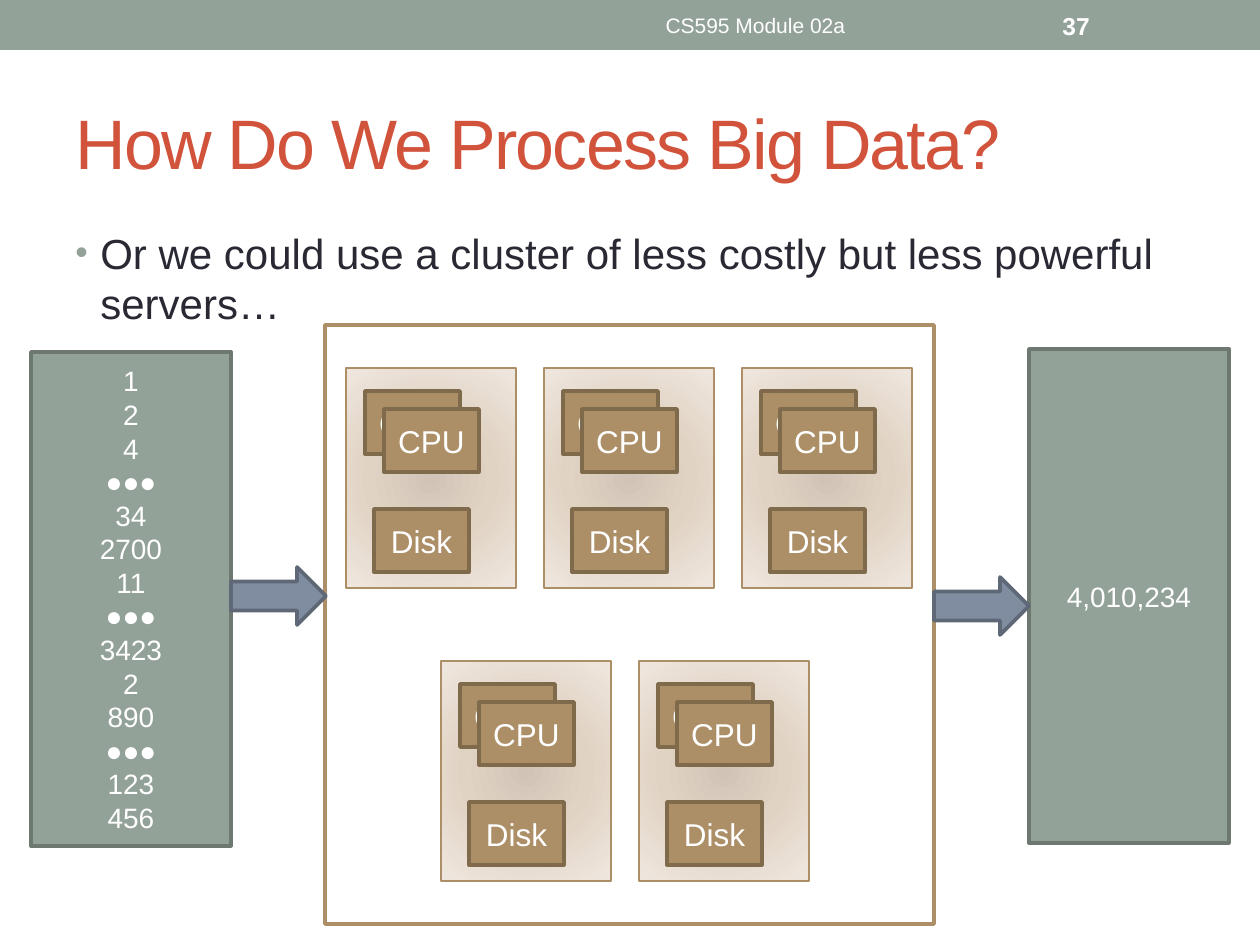
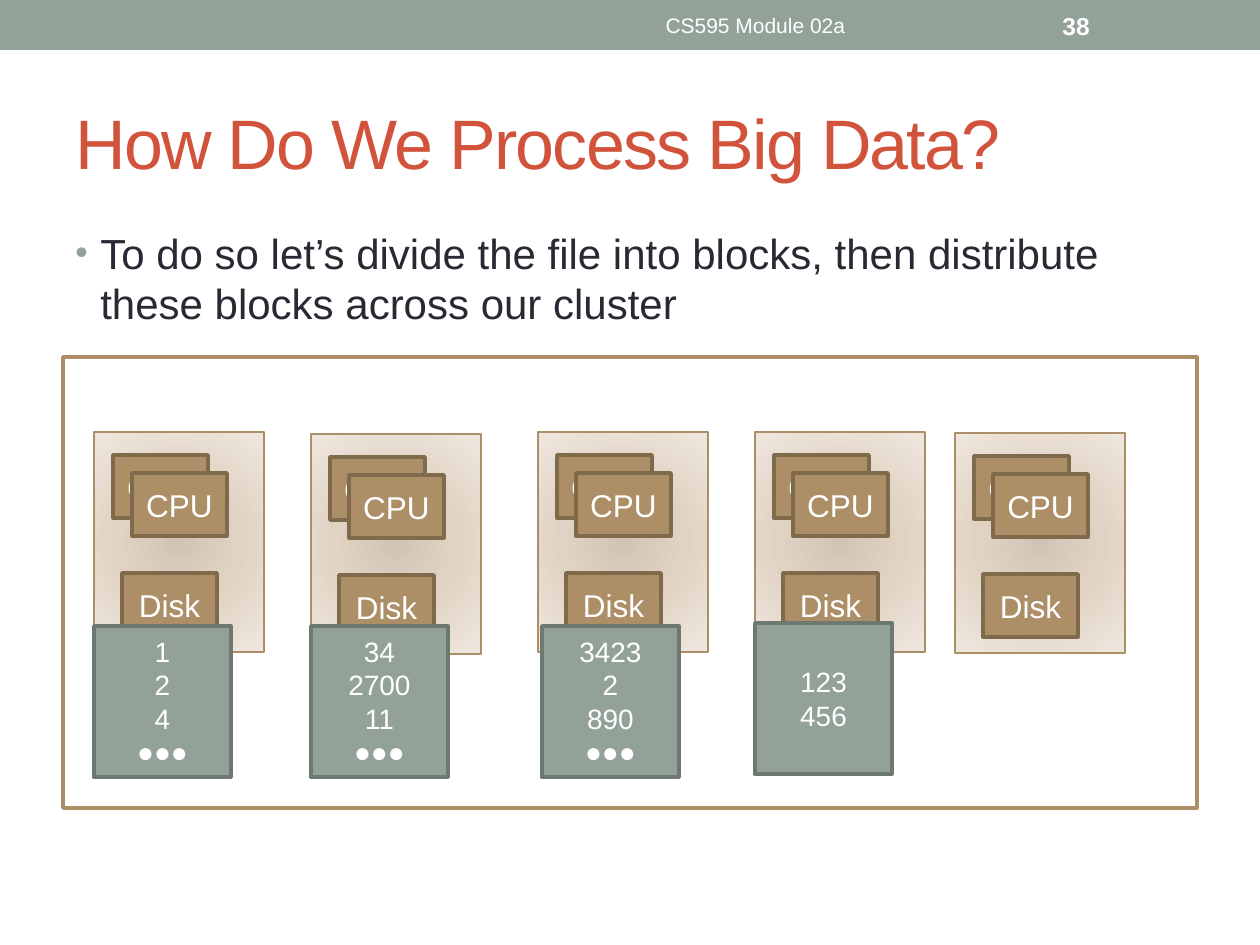
import pptx
import pptx.util
import pptx.dml.color
import pptx.enum.shapes
import pptx.enum.text
import pptx.oxml
import pptx.oxml.ns

PX = 914400 / 126
FONT = "Arial"
WHITE, INK, TITLE = "FFFFFF", "292934", "D2533C"
SAGE, SAGE_EDGE = "93A299", "6D7871"
TAN, TAN_EDGE = "AD8F67", "806A4C"
STEEL, STEEL_EDGE = "808DA0", "5F6876"
SERVER_STOPS = [(0, "D1C4B6"), (45, "E1D3C4"), (100, "EFE7DF")]
THICK, THIN = 2.08, 0.75
RECT = pptx.enum.shapes.MSO_SHAPE.RECTANGLE
ARROW = pptx.enum.shapes.MSO_SHAPE.RIGHT_ARROW
MIDDLE = pptx.enum.text.MSO_ANCHOR.MIDDLE
TOP = pptx.enum.text.MSO_ANCHOR.TOP
LEFT = pptx.enum.text.PP_ALIGN.LEFT
CENTER = pptx.enum.text.PP_ALIGN.CENTER

SERVER_W, SERVER_H = 170, 220
DOTS = "●●●"
BLOCKS = [["1", "2", "4", DOTS], ["34", "2700", "11", DOTS],
          ["3423", "2", "890", DOTS], ["123", "456"]]


def rgb(value):
    return pptx.dml.color.RGBColor.from_string(value)


def emu(*lengths):
    return [pptx.util.Emu(round(n * PX)) for n in lengths]


def xml(tag, attrs="", inner=""):
    ns = pptx.oxml.ns.nsdecls("a")
    return pptx.oxml.parse_xml(f"<a:{tag} {ns} {attrs}>{inner}</a:{tag}>")


def write(sp, lines, size, color, align=CENTER, anchor=MIDDLE, bold=False):
    """Put one run per paragraph into a shape and return the paragraphs."""
    tf = sp.text_frame
    tf.word_wrap = True
    tf.vertical_anchor = anchor
    for i, line in enumerate(lines):
        p = tf.add_paragraph() if i else tf.paragraphs[0]
        p.alignment = align
        r = p.add_run()
        r.text = line
        r.font.name = FONT
        r.font.size = pptx.util.Pt(size)
        r.font.bold = bold
        r.font.color.rgb = rgb(color)
    return tf.paragraphs


def add_text(s, box, line, size, color, **style):
    sp = s.shapes.add_textbox(*emu(*box))
    return write(sp, [line], size, color, **style)[0]


def add_box(s, box, fill, edge=None, width=THICK, kind=RECT):
    sp = s.shapes.add_shape(kind, *emu(*box))
    sp.shadow.inherit = False
    sp.fill.solid()
    sp.fill.fore_color.rgb = rgb(fill)
    if edge:
        sp.line.color.rgb = rgb(edge)
        sp.line.width = pptx.util.Pt(width)
    else:
        sp.line.fill.background()
    return sp


def add_base(prs, number, bullet, cluster):
    """Band, cluster frame, title, bullet, footer and slide number."""
    s = prs.slides.add_slide(prs.slide_layouts[6])
    add_box(s, (0, 0, 1260, 50), SAGE)
    add_box(s, cluster, WHITE, TAN)

    p = add_text(s, (63, 73, 1134, 137), "How Do We Process Big Data?", 40, TITLE,
                 align=LEFT)
    p.runs[0].font._element.set("spc", "-100")

    p = add_text(s, (63, 221, 1134, 671), bullet, 24, INK, align=LEFT, anchor=TOP)
    pPr = p._p.get_or_add_pPr()
    indent = emu(25)[0]
    pPr.set("marL", str(indent))
    pPr.set("indent", str(-indent))
    pPr.append(xml("spcBef", inner='<a:spcPct val="20000"/>'))
    pPr.append(xml("buClr", inner=f'<a:srgbClr val="{SAGE}"/>'))
    pPr.append(xml("buSzPct", 'val="85000"'))
    pPr.append(xml("buFont", f'typeface="{FONT}"'))
    pPr.append(xml("buChar", 'char="•"'))

    add_text(s, (472, 3, 567, 45), "CS595 Module 02a", 12, WHITE)
    add_text(s, (1050, 3, 147, 45), str(number), 14, WHITE, align=LEFT, bold=True)
    return s


def add_server(s, x, y):
    """One machine: radial panel, two stacked CPUs and a disk."""
    panel = add_box(s, (x, y, SERVER_W, SERVER_H), WHITE, TAN, THIN)
    stops = "".join(f'<a:gs pos="{pos * 1000}"><a:srgbClr val="{c}"/></a:gs>'
                    for pos, c in SERVER_STOPS)
    grad = xml("gradFill", 'rotWithShape="1"',
               f'<a:gsLst>{stops}</a:gsLst><a:path path="circle"><a:fillToRect '
               'l="100000" t="100000" r="100000" b="100000"/></a:path>')
    spPr = panel._element.spPr
    spPr.replace(spPr.find(pptx.oxml.ns.qn("a:solidFill")), grad)

    for name, dx, dy in [("CPU", 19, 23), ("CPU", 38, 41), ("Disk", 28, 141)]:
        part = add_box(s, (x + dx, y + dy, 95, 63), TAN, TAN_EDGE)
        write(part, [name], 18, WHITE)


def add_data(s, box, lines):
    write(add_box(s, box, SAGE, SAGE_EDGE), lines, 16, WHITE)


def add_arrow(s, x, y):
    add_box(s, (x, y, 95, 58), STEEL, STEEL_EDGE, kind=ARROW)


def build_cluster_slide(prs):
    s = add_base(prs, 37, "Or we could use a cluster of less costly but less "
                 "powerful servers…", (325, 325, 609, 599))
    # Input file and result on either side of the cluster
    add_data(s, (31, 352, 200, 494), sum(BLOCKS, []))
    add_arrow(s, 231, 567)
    add_data(s, (1029, 349, 200, 494), ["4,010,234"])
    add_arrow(s, 934, 577)
    # Three servers above two
    for left, top, count in [(346, 368, 3), (441, 661, 2)]:
        for i in range(count):
            add_server(s, left + i * 198, top)


def build_blocks_slide(prs):
    s = add_base(prs, 38, "To do so let’s divide the file into blocks, then "
                 "distribute these blocks across our cluster",
                 (63, 357, 1134, 451))
    for x, y in [(94, 432), (311, 434), (538, 432), (755, 432), (955, 433)]:
        add_server(s, x, y)
    # File blocks laid over the first four servers
    for (x, y), lines in zip([(94, 626), (311, 626), (542, 626), (755, 623)], BLOCKS):
        add_data(s, (x, y, 137, 151), lines)


prs = pptx.Presentation()
prs.slide_width, prs.slide_height = emu(1260, 945)
build_cluster_slide(prs)
build_blocks_slide(prs)
prs.save("out.pptx")
